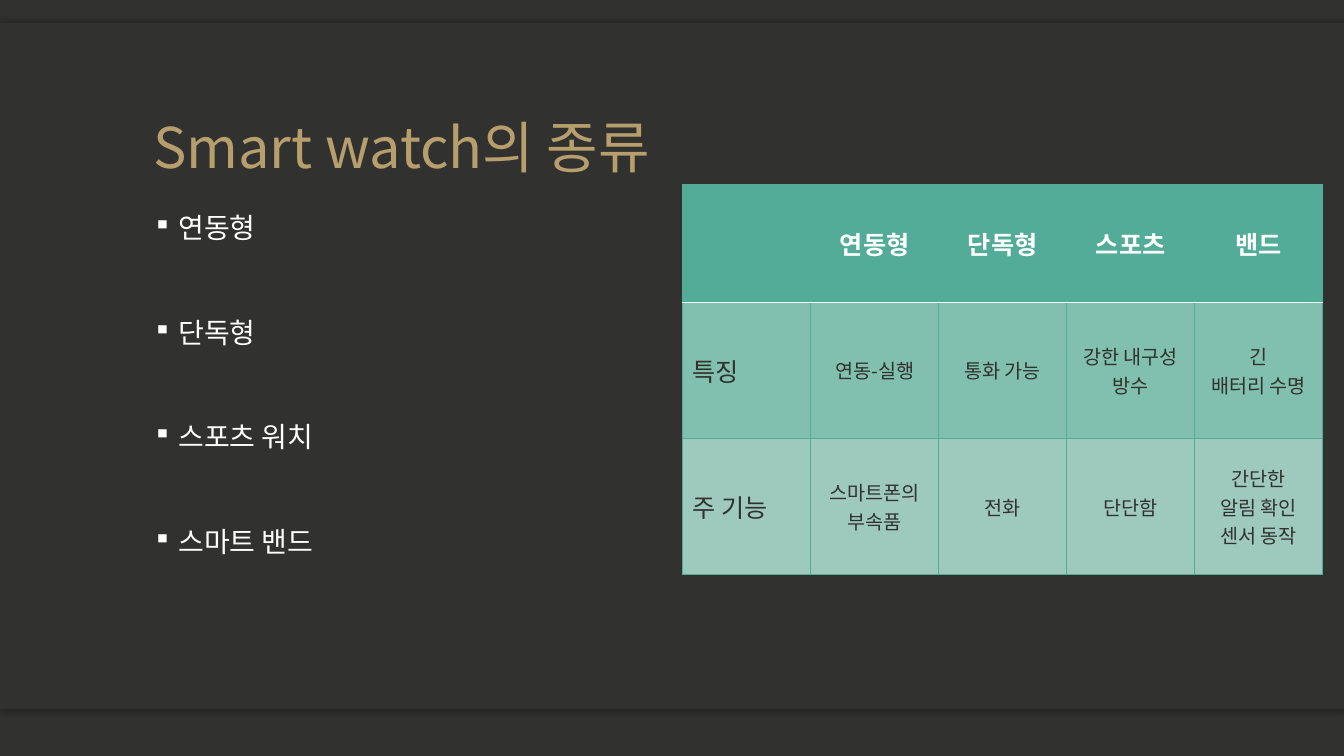
from lxml.etree import SubElement
from pptx import Presentation
from pptx.dml.color import RGBColor
from pptx.enum.shapes import MSO_SHAPE
from pptx.enum.text import MSO_ANCHOR, PP_ALIGN
from pptx.oxml import parse_xml
from pptx.oxml.ns import nsdecls, qn
from pptx.util import Inches, Pt

TITLE = "Smart watch의 종류"
WATCH_TYPES = ["연동형", "단독형", "스포츠 워치", "스마트 밴드"]
COMPARISON = [
    ["", "연동형", "단독형", "스포츠", "밴드"],
    ["특징", "연동-실행", "통화 가능", "강한 내구성\n방수", "긴\n배터리 수명"],
    ["주 기능", "스마트폰의 부속품", "전화", "단단함", "간단한\n알림 확인\n센서 동작"],
]
ROW_HEIGHTS = [1.17, 1.35, 1.35]
COLUMN_WIDTH = 1.27

FONT = "Noto Sans CJK KR"
DARK = RGBColor(0x31, 0x31, 0x2F)
GOLD = RGBColor(0xB7, 0x9E, 0x6D)
WHITE = RGBColor(0xFF, 0xFF, 0xFF)
GREEN = RGBColor(0x52, 0xAC, 0x97)
MID_GREEN = RGBColor(0x81, 0xBF, 0xAE)
PALE_GREEN = RGBColor(0x9E, 0xCA, 0xBD)
ROW_FILLS = [GREEN, MID_GREEN, PALE_GREEN]


def style(paragraph, size, color, bold=False):
    """Set the font for both Latin and Korean characters."""
    font = paragraph.font
    font.name, font.size, font.bold = FONT, Pt(size), bold
    font.color.rgb = color
    defaults = paragraph._p.get_or_add_pPr().find(qn("a:defRPr"))
    SubElement(defaults, qn("a:ea")).set("typeface", FONT)


def add_bullet(paragraph):
    properties = paragraph._p.get_or_add_pPr()
    properties.set("marL", str(Inches(0.25)))
    properties.set("indent", str(-Inches(0.25)))
    defaults = properties.find(qn("a:defRPr"))
    for markup in ('<a:buSzPct %s val="90000"/>', '<a:buChar %s char="▪"/>'):
        defaults.addprevious(parse_xml(markup % nsdecls("a")))


def add_band(slide, top, height, shadow_angle=None):
    band = slide.shapes.add_shape(
        MSO_SHAPE.RECTANGLE, 0, Inches(top), Inches(13.33), Inches(height))
    band.shadow.inherit = False
    band.fill.solid()
    band.fill.fore_color.rgb = DARK
    band.line.fill.background()
    if shadow_angle is not None:
        effects = band._element.spPr.find(qn("a:effectLst"))
        effects.append(parse_xml(
            f'<a:outerShdw {nsdecls("a")} blurRad="{Pt(4)}" dist="{Pt(2)}" '
            f'dir="{shadow_angle * 60000}" algn="ctr" rotWithShape="0">'
            '<a:srgbClr val="000000"><a:alpha val="25000"/></a:srgbClr>'
            '</a:outerShdw>'))


def add_text_frame(slide, left, top, width, height):
    box = slide.shapes.add_textbox(*map(Inches, (left, top, width, height)))
    box.text_frame.word_wrap = True
    return box.text_frame


def set_border(cell, side, color, width):
    cell._tc.get_or_add_tcPr().append(parse_xml(
        f'<a:ln{side} {nsdecls("a")} w="{Pt(width)}"><a:solidFill>'
        f'<a:srgbClr val="{color}"/></a:solidFill></a:ln{side}>'))


def fill_cell(cell, text, row, column):
    for side in "LRTB":
        under_header = (row, side) in ((0, "B"), (1, "T"))
        set_border(cell, side, *((WHITE, 1) if under_header else (GREEN, 0.5)))
    cell.fill.solid()
    cell.fill.fore_color.rgb = ROW_FILLS[row]
    cell.vertical_anchor = MSO_ANCHOR.MIDDLE
    cell.text = text
    is_header, is_label = row == 0, column == 0
    for paragraph in cell.text_frame.paragraphs:
        paragraph.alignment = PP_ALIGN.LEFT if is_label else PP_ALIGN.CENTER
        style(paragraph, 18 if is_header or is_label else 14,
              WHITE if is_header else DARK, is_header)


def main():
    presentation = Presentation()
    presentation.slide_width = Inches(13.33)
    presentation.slide_height = Inches(7.5)
    slide = presentation.slides.add_slide(presentation.slide_layouts[6])
    slide.background.fill.solid()
    slide.background.fill.fore_color.rgb = DARK

    add_band(slide, 6.54, 0.49, shadow_angle=90)
    add_band(slide, 0.23, 0.49, shadow_angle=270)
    add_band(slide, 0.23, 6.8)

    title = add_text_frame(slide, 1.42, 0.46, 10.5, 1.38)
    title.vertical_anchor = MSO_ANCHOR.BOTTOM
    title.text = TITLE
    title.paragraphs[0].line_spacing = 0.9
    style(title.paragraphs[0], 40, GOLD)

    types = add_text_frame(slide, 1.42, 2.08, 5, 4.67)
    types.text = "\n".join(WATCH_TYPES)
    for index, paragraph in enumerate(types.paragraphs):
        paragraph.line_spacing = 0.9
        paragraph.space_before = Pt(53 if index else 0)
        style(paragraph, 20, WHITE)
        add_bullet(paragraph)

    columns = len(COMPARISON[0])
    table = slide.shapes.add_table(
        len(COMPARISON), columns, Inches(6.77), Inches(1.83),
        Inches(COLUMN_WIDTH * columns), Inches(sum(ROW_HEIGHTS))).table
    table.horz_banding = False
    for column in table.columns:
        column.width = Inches(COLUMN_WIDTH)
    for row, texts in enumerate(COMPARISON):
        table.rows[row].height = Inches(ROW_HEIGHTS[row])
        for column, text in enumerate(texts):
            fill_cell(table.cell(row, column), text, row, column)

    presentation.save("out.pptx")


if __name__ == "__main__":
    main()
